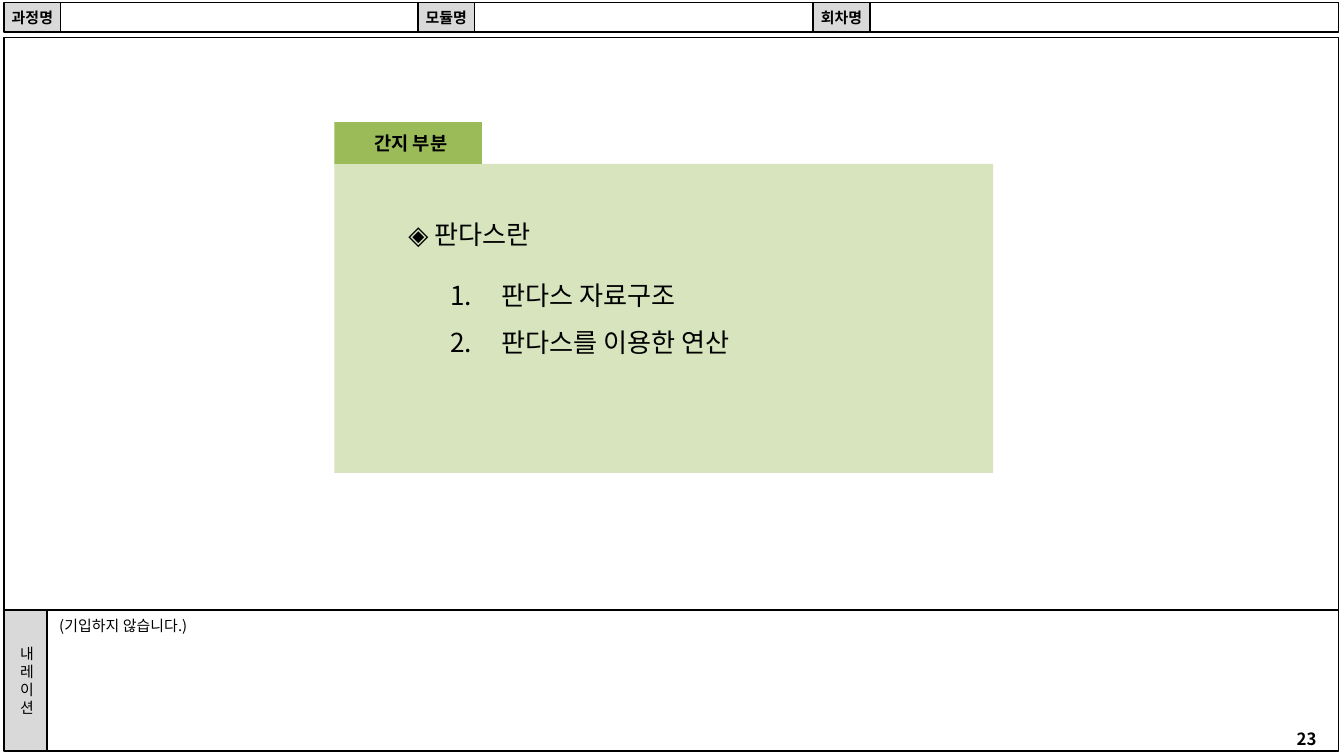
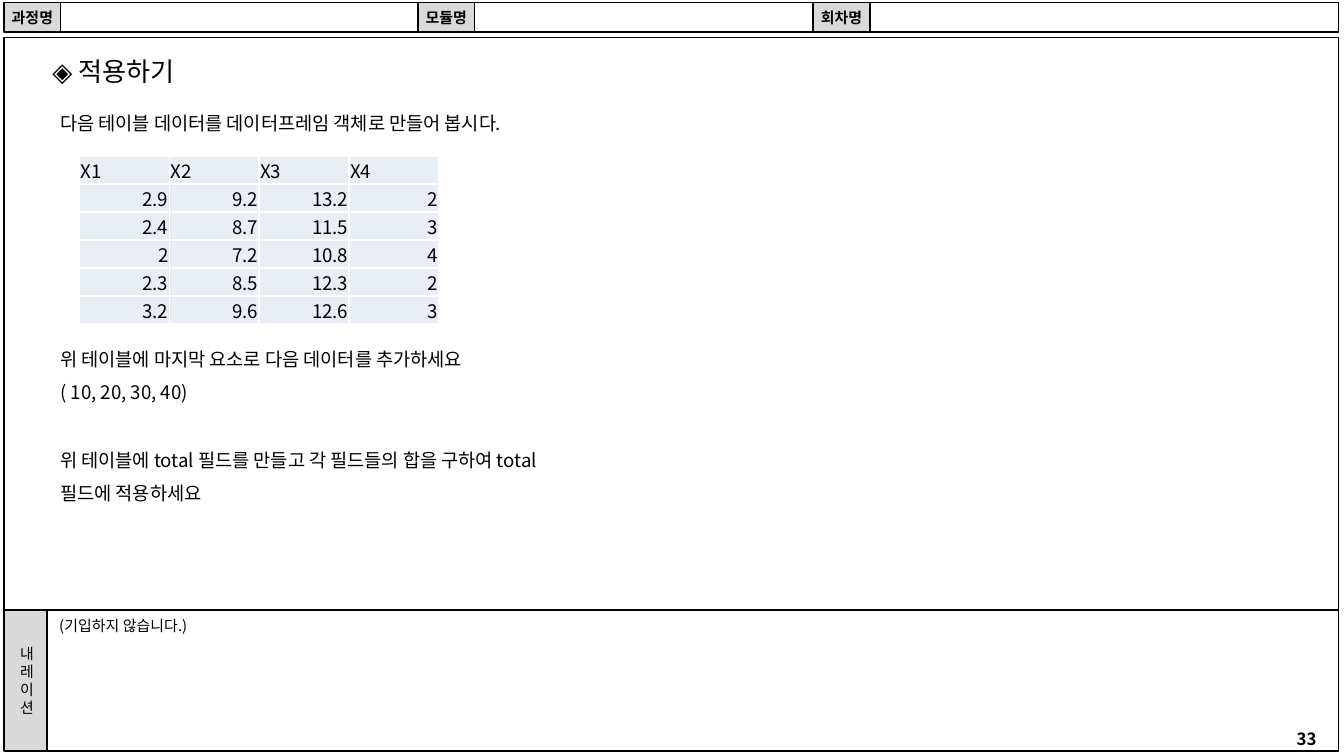
from lxml import etree
from pptx import Presentation
from pptx.dml.color import RGBColor
from pptx.enum.shapes import MSO_SHAPE
from pptx.enum.text import MSO_ANCHOR, MSO_AUTO_SIZE, PP_ALIGN
from pptx.oxml.ns import qn
from pptx.util import Cm, Pt

RECTANGLE = MSO_SHAPE.RECTANGLE
LEFT, CENTER, RIGHT = PP_ALIGN.LEFT, PP_ALIGN.CENTER, PP_ALIGN.RIGHT
TOP, MIDDLE, BOTTOM = MSO_ANCHOR.TOP, MSO_ANCHOR.MIDDLE, MSO_ANCHOR.BOTTOM
FIXED_SIZE = MSO_AUTO_SIZE.NONE

FONT = "Noto Sans CJK KR"
COLORS = {
    "text": "000000",
    "paper": "FFFFFF",
    "label": "D9D9D9",
    "panel": "D7E4BD",
    "tab": "9BBB59",
    "cell": "E9EDF4",
}
INSETS = (0.25, 0.13, 0.25, 0.13)
NARRATION_INSETS = (0.23, 0.1, 0.23, 0.1)
CELL_INSETS = (0.02, 0.02, 0.02, 0)

HEADER_LABELS = ["과정명", "모듈명", "회차명"]
HEADER_EDGES = [0.08, 7.9, 15.37, 25.3]
HEADER_LABEL_WIDTH = 1.07
HEADER_TOP, HEADER_HEIGHT = 0.05, 0.56
NARRATION_TOP, NARRATION_HEIGHT = 11.53, 2.67

CHAPTERS = ["판다스 자료구조", "판다스를 이용한 연산"]
EXERCISE = [
    "다음 테이블 데이터를 데이터프레임 객체로 만들어 봅시다.",
    "위 테이블에 마지막 요소로 다음 데이터를 추가하세요",
    "( 10, 20, 30, 40)",
    "위 테이블에 total 필드를 만들고 각 필드들의 합을 구하여 total",
    "필드에 적용하세요",
]
EXERCISE_GAPS = [0, 108, 0, 18, 0]
SAMPLE_DATA = [
    ["X1", "X2", "X3", "X4"],
    ["2.9", "9.2", "13.2", "2"],
    ["2.4", "8.7", "11.5", "3"],
    ["2", "7.2", "10.8", "4"],
    ["2.3", "8.5", "12.3", "2"],
    ["3.2", "9.6", "12.6", "3"],
]


def rgb(name):
    return RGBColor.from_string(COLORS[name])


def format_paragraph(paragraph, size, bold=False, align=LEFT, spacing=1.0, gap=0):
    paragraph.alignment = align
    paragraph.line_spacing = spacing
    paragraph.space_before = Pt(gap)
    font = paragraph.font
    font.size = Pt(size)
    font.bold = bold
    font.color.rgb = rgb("text")
    font.name = FONT
    east_asian = etree.SubElement(paragraph._p.pPr.find(qn("a:defRPr")), qn("a:ea"))
    east_asian.set("typeface", FONT)


def set_bullet(paragraph, numbered):
    """Number the paragraph, or clear the bullet that the template gives it."""
    properties = paragraph._p.get_or_add_pPr()
    indent = Cm(0.96) if numbered else 0
    properties.set("marL", str(indent))
    properties.set("indent", str(-indent))
    if numbered:
        numbering = etree.SubElement(properties, qn("a:buAutoNum"))
        numbering.set("type", "arabicPeriod")
    else:
        etree.SubElement(properties, qn("a:buNone"))


def set_insets(target, insets):
    left, top, right, bottom = map(Cm, insets)
    target.margin_left, target.margin_top = left, top
    target.margin_right, target.margin_bottom = right, bottom


def write(shape, lines, size, insets=INSETS, anchor=TOP, wrap=False,
          numbered=False, gaps=None, **style):
    frame = shape.text_frame
    frame.auto_size = FIXED_SIZE
    frame.word_wrap = wrap
    frame.vertical_anchor = anchor
    set_insets(frame, insets)
    frame.text = "\n".join(lines)
    for paragraph, gap in zip(frame.paragraphs, gaps or [0] * len(lines)):
        set_bullet(paragraph, numbered)
        format_paragraph(paragraph, size, gap=gap, **style)


def add_box(slide, place, fill, outlined=True):
    box = slide.shapes.add_shape(RECTANGLE, *map(Cm, place))
    box.shadow.inherit = False
    box.fill.solid()
    box.fill.fore_color.rgb = rgb(fill)
    if outlined:
        box.line.color.rgb = rgb("text")
        box.line.width = Pt(0.75)
    else:
        box.line.fill.background()
    return box


def add_text(slide, place, text, size, **style):
    write(slide.shapes.add_textbox(*map(Cm, place)), [text], size, **style)


def fill_placeholder(placeholder, place, lines, size, **style):
    placeholder.left, placeholder.top, placeholder.width, placeholder.height = map(Cm, place)
    write(placeholder, lines, size, **style)


def add_storyboard_frame(slide):
    """Draw the shared frame and move it to the layout, so every slide shows it."""
    boxes = [
        add_box(slide, (0.08, 0.71, 25.22, 10.84), "paper"),
        add_box(slide, (0.6, NARRATION_TOP, 24.7, NARRATION_HEIGHT), "paper"),
    ]
    narration_label = add_box(slide, (0.08, NARRATION_TOP, 0.81, NARRATION_HEIGHT), "label")
    write(narration_label, list("내레이션"), 8, insets=(0.25, 0.13, 0.2, 0.13),
          anchor=MIDDLE, align=CENTER)
    boxes.append(narration_label)
    for name, left, right in zip(HEADER_LABELS, HEADER_EDGES, HEADER_EDGES[1:]):
        field_left = left + HEADER_LABEL_WIDTH
        boxes.append(add_box(
            slide, (field_left, HEADER_TOP, right - field_left, HEADER_HEIGHT), "paper"))
        label = add_box(
            slide, (left, HEADER_TOP, HEADER_LABEL_WIDTH, HEADER_HEIGHT), "label")
        write(label, [name], 8, anchor=MIDDLE, align=CENTER, bold=True)
        boxes.append(label)
    layout_tree = slide.slide_layout.shapes._spTree
    for number, box in enumerate(boxes, start=100):
        box._element.nvSpPr.cNvPr.set("id", str(number))
        layout_tree.append(box._element)


def add_footer(slide, page):
    add_text(slide, (0.89, 11.56, 24.43, 2.62), "(기입하지 않습니다.)", 8,
             insets=NARRATION_INSETS, wrap=True)
    add_text(slide, (24.1, 13.64, 1.19, 0.64), str(page), 9,
             wrap=True, align=CENTER, bold=True)


def set_cell_borders(cell):
    properties = cell._tc.get_or_add_tcPr()
    for position, side in enumerate(("lnL", "lnR", "lnT", "lnB")):
        border = etree.Element(qn(f"a:{side}"), w=str(Pt(1)))
        fill = etree.SubElement(border, qn("a:solidFill"))
        etree.SubElement(fill, qn("a:srgbClr"), val=COLORS["paper"])
        properties.insert(position, border)


def add_data_table(slide, rows, left, top, column_width, row_height):
    row_count, column_count = len(rows), len(rows[0])
    table = slide.shapes.add_table(
        row_count, column_count, Cm(left), Cm(top),
        Cm(column_width * column_count), Cm(row_height * row_count)).table
    table.first_row = table.horz_banding = False
    for column in table.columns:
        column.width = Cm(column_width)
    for row_index, values in enumerate(rows):
        table.rows[row_index].height = Cm(row_height)
        for column_index, value in enumerate(values):
            cell = table.cell(row_index, column_index)
            cell.text = value
            cell.vertical_anchor = BOTTOM
            set_insets(cell, CELL_INSETS)
            cell.fill.solid()
            cell.fill.fore_color.rgb = rgb("cell")
            set_cell_borders(cell)
            format_paragraph(cell.text_frame.paragraphs[0], 10,
                             align=RIGHT if row_index else LEFT)


def build_section_slide(slide):
    panel = add_box(slide, (6.32, 3.1, 12.45, 5.84), "panel", outlined=False)
    slide.shapes._spTree.insert(2, panel._element)  # behind the placeholders
    tab = add_box(slide, (6.32, 2.31, 2.79, 0.79), "tab", outlined=False)
    write(tab, ["간지 부분"], 10, insets=(0.2, 0.1, 0.1, 0.1),
          anchor=MIDDLE, wrap=True, align=CENTER, bold=True)
    fill_placeholder(slide.shapes.title, (7.47, 3.99, 3, 0.86), ["◈ 판다스란"], 14)
    fill_placeholder(slide.placeholders[1], (8.26, 4.85, 5.97, 1.96), CHAPTERS, 14,
                     numbered=True, spacing=1.5)
    add_footer(slide, 23)


def build_exercise_slide(slide):
    fill_placeholder(slide.shapes.title, (0.74, 0.91, 3, 0.86), ["◈ 적용하기"], 14)
    fill_placeholder(slide.placeholders[1], (0.89, 1.78, 21.59, 9.8), EXERCISE, 10,
                     wrap=True, gaps=EXERCISE_GAPS, spacing=1.5)
    add_data_table(slide, SAMPLE_DATA, 1.5, 2.95, 1.7, 0.45)
    add_footer(slide, 33)


def main():
    deck = Presentation()
    deck.slide_width, deck.slide_height = Cm(25.4), Cm(14.29)
    layout = deck.slide_layouts[1]
    section, exercise = (deck.slides.add_slide(layout) for _ in range(2))
    add_storyboard_frame(section)
    build_section_slide(section)
    build_exercise_slide(exercise)
    deck.save("out.pptx")


if __name__ == "__main__":
    main()
